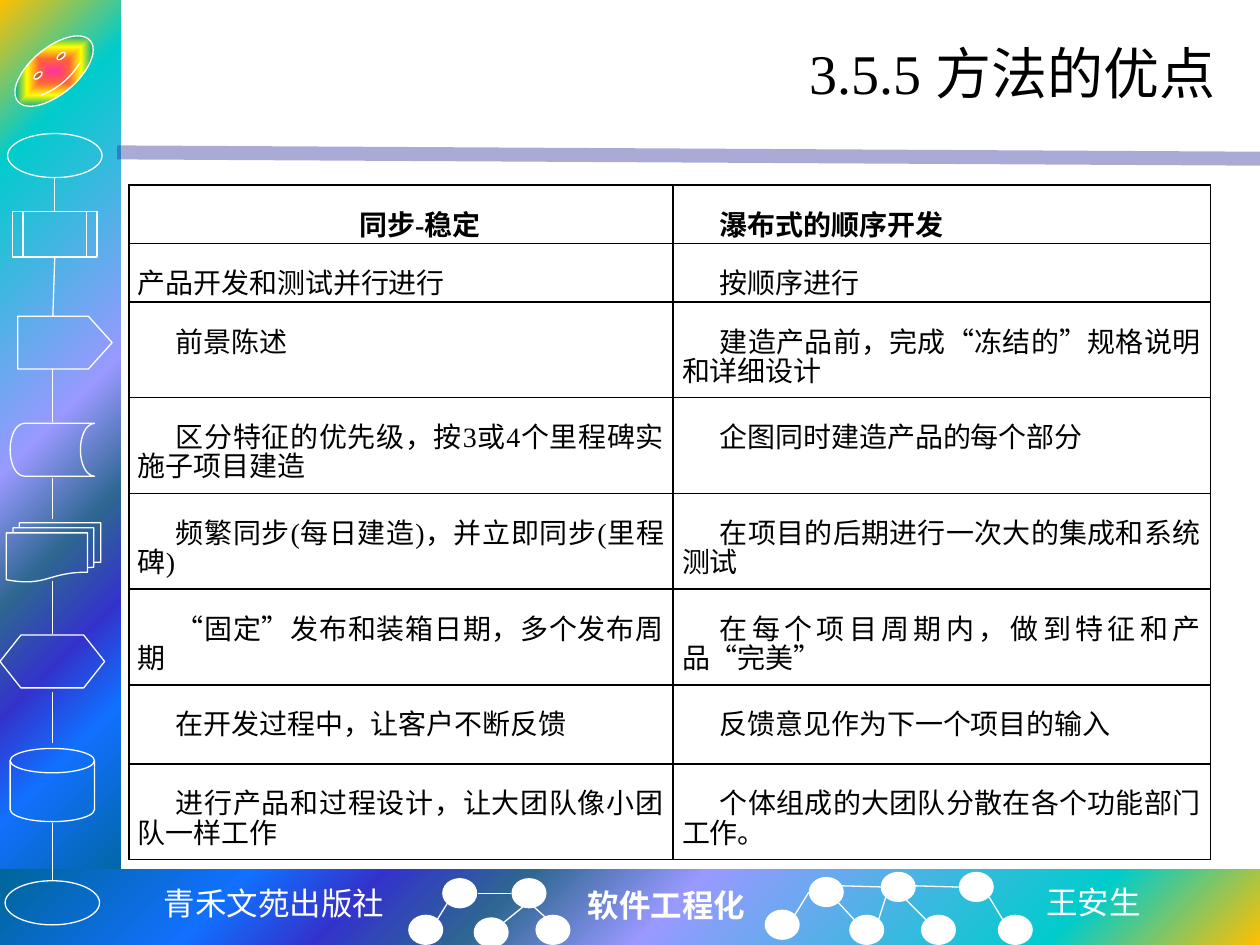
from pptx import Presentation
from pptx.dml.color import RGBColor
from pptx.enum.shapes import MSO_CONNECTOR, MSO_SHAPE
from pptx.enum.text import MSO_ANCHOR, PP_ALIGN
from pptx.oxml import parse_xml
from pptx.oxml.ns import nsdecls, qn
from pptx.util import Pt
from lxml import etree

LINE = MSO_CONNECTOR.STRAIGHT
RECT, OVAL, FACE = MSO_SHAPE.RECTANGLE, MSO_SHAPE.OVAL, MSO_SHAPE.SMILEY_FACE
PROC = MSO_SHAPE.FLOWCHART_PREDEFINED_PROCESS
LEFT, MID, RIGHT, FULL = PP_ALIGN.LEFT, PP_ALIGN.CENTER, PP_ALIGN.RIGHT, PP_ALIGN.JUSTIFY
SERIF, MONO, SANS = "Times New Roman", "Courier New", "Noto Sans CJK SC"

HEX = {"white": "FFFFFF", "black": "000000", "rule": "262699"}
WAVE = [(0, "FFC000"), (16, "00CCCC"), (47, "9999FF"), (60, "2E6792"),
        (71, "3333CC"), (81, "1170FF"), (100, "006699")]
GLOW = [(0, "FF3399"), (25, "FF6633"), (50, "FFFF00"), (75, "01A78F"),
        (100, "3366FF")]

# Flowchart symbols down the side: kind, left, top, width, height
SIGNS = [
    (OVAL, 4.3, 76.3, 54, 25.2),
    (PROC, 7.2, 121, 48.2, 25.9),
    (MSO_SHAPE.PENTAGON, 10.1, 180.7, 54, 30.2),
    (MSO_SHAPE.FLOWCHART_STORED_DATA, 5.8, 241.9, 48.2, 30.2),
    (MSO_SHAPE.FLOWCHART_MULTIDOCUMENT, 3.6, 298.8, 54, 33.8),
    (MSO_SHAPE.FLOWCHART_PREPARATION, 0, 362.9, 59.8, 30.2),
    (MSO_SHAPE.FLOWCHART_MAGNETIC_DISK, 5.8, 427.7, 48.2, 41.8),
    (OVAL, 2.9, 503.3, 54, 25.2),
]
GAPS = [(211, 241.2), (272.9, 296.6), (331.9, 362.2), (395.3, 424.8),
        (470.2, 503.3)]
NODES = [(252.7, 501.8), (292.3, 501.8), (233.3, 522.7), (270.7, 524.2),
         (306, 522.7), (437, 519.8), (462.2, 501.1), (485.3, 522.7),
         (503.3, 498.2), (526.3, 522.7), (547.9, 498.2), (570.2, 522.7)]
LINKS = [(249.8, 525.6, 255.6, 516.2), (288, 527, 299.5, 517.7),
         (292.3, 510.5, 272.9, 510.5), (312.5, 524.9, 305.3, 518.4),
         (454.3, 522.7, 462.2, 509.8), (481, 506.2, 506.2, 506.9),
         (488.2, 525.6, 478.8, 515.5), (501.8, 526.3, 506.2, 512.6),
         (529.2, 525.6, 514.8, 511.2), (522.7, 506.2, 547.9, 506.9),
         (573.1, 525.6, 565.2, 512.6)]
# Footer: text, left, top, width, font, bold
NOTES = [("青禾文苑出版社", 85.7, 501.8, 141.8, MONO, False),
         ("软件工程化", 328.3, 502.6, 105.1, SERIF, True),
         ("王安生", 590.4, 501.1, 69.1, SANS, False)]

ROWS = [
    ("同步-稳定", "瀑布式的顺序开发"),
    ("产品开发和测试并行进行", "按顺序进行"),
    ("前景陈述", "建造产品前，完成“冻结的”规格说明和详细设计"),
    ("区分特征的优先级，按3或4个里程碑实施子项目建造", "企图同时建造产品的每个部分"),
    ("频繁同步(每日建造)，并立即同步(里程碑)", "在项目的后期进行一次大的集成和系统测试"),
    ("“固定”发布和装箱日期，多个发布周期", "在每个项目周期内，做到特征和产品“完美”"),
    ("在开发过程中，让客户不断反馈", "反馈意见作为下一个项目的输入"),
    ("进行产品和过程设计，让大团队像小团队一样工作", "个体组成的大团队分散在各个功能部门工作。"),
]
HIGH = [33.4, 33.4, 54.7, 54.7, 54.7, 54.7, 45.2, 54.7]
WIDE = [311, 307]
STEP = 16.6


def rgb(name):
    return RGBColor.from_string(HEX[name])


def style(para, size, font, color, bold=False, align=LEFT):
    para.alignment = align
    for run in para.runs:
        run.font.size, run.font.name, run.font.bold = Pt(size), font, bold
        run.font.color.rgb = rgb(color)


def shape(slide, kind, x, y, w, h, fill=None, line=None):
    item = slide.shapes.add_shape(kind, Pt(x), Pt(y), Pt(w), Pt(h))
    item.shadow.inherit = False
    if fill:
        item.fill.solid()
        item.fill.fore_color.rgb = rgb(fill)
    else:
        item.fill.background()
    if line:
        item.line.color.rgb, item.line.width = rgb(line), Pt(0.75)
    else:
        item.line.fill.background()
    return item


def blend(item, stops, kind, focus):
    """Fill with a gradient spreading from focus (left, top, right, bottom in %)."""
    marks = "".join(f'<a:gs pos="{pos * 1000}"><a:srgbClr val="{color}"/></a:gs>'
                    for pos, color in stops)
    sides = " ".join(f'{side}="{part * 1000}"' for side, part in zip("ltrb", focus))
    grad = parse_xml(f'<a:gradFill {nsdecls("a")} rotWithShape="1"><a:gsLst>{marks}</a:gsLst>'
                     f'<a:path path="{kind}"><a:fillToRect {sides}/></a:path></a:gradFill>')
    props = item.element.spPr
    props.replace(props.find(qn("a:noFill")), grad)


def link(slide, x1, y1, x2, y2, color="white", width=0.75):
    item = slide.shapes.add_connector(LINE, Pt(x1), Pt(y1), Pt(x2), Pt(y2))
    item.line.color.rgb, item.line.width = rgb(color), Pt(width)
    etree.SubElement(item.element.spPr, qn("a:effectLst"))
    return item


def label(slide, text, x, y, w, h, size, font, color, bold=False, align=LEFT, wrap=False):
    frame = slide.shapes.add_textbox(Pt(x), Pt(y), Pt(w), Pt(h)).text_frame
    frame.word_wrap = wrap
    frame.vertical_anchor = MSO_ANCHOR.MIDDLE
    frame.text = text
    style(frame.paragraphs[0], size, font, color, bold, align)


def border(cell):
    props = cell._tc.get_or_add_tcPr()
    for at, side in enumerate(("lnL", "lnR", "lnT", "lnB")):
        props.insert(at, parse_xml(
            f'<a:{side} {nsdecls("a")} w="{Pt(1)}"><a:solidFill>'
            f'<a:srgbClr val="{HEX["black"]}"/></a:solidFill></a:{side}>'))


def write(cell, text, bold, align, indent):
    cell.margin_left = cell.margin_right = Pt(5.2)
    cell.margin_top, cell.margin_bottom = Pt(STEP), 0
    cell.fill.background()
    border(cell)
    cell.text = text
    para = cell.text_frame.paragraphs[0]
    para.line_spacing = Pt(STEP)
    para._p.get_or_add_pPr().set("indent", str(Pt(indent)))
    style(para, 16, SERIF, "black", bold, align)


def grid(slide):
    table = slide.shapes.add_table(len(ROWS), len(WIDE), Pt(73.6), Pt(105.8),
                                   Pt(sum(WIDE)), Pt(sum(HIGH))).table
    table.first_row = table.horz_banding = False
    for col, width in zip(table.columns, WIDE):
        col.width = Pt(width)
    for row, height in zip(table.rows, HIGH):
        row.height = Pt(height)
    aligns = {(0, 0): MID, (2, 0): LEFT}
    for r, texts in enumerate(ROWS):
        for c, text in enumerate(texts):
            indent = 0 if (r, c) == (1, 0) else 21.6
            write(table.cell(r, c), text, r == 0, aligns.get((r, c), FULL), indent)


def side(slide):
    """Flowchart symbols joined from top to bottom."""
    signs = [shape(slide, *sign, line="white") for sign in SIGNS]
    signs[2].adjustments[0] = 0.45
    link(slide, 31.3, 101.5, 31.3, 121).end_connect(signs[1], 0)
    link(slide, 31.3, 146.9, 30.2, 180.7).begin_connect(signs[1], 2)
    for top, end in GAPS:
        link(slide, 30.2, top, 30.2, end)
    face = shape(slide, FACE, 3.9, 27.4, 54, 26.5, line="white")
    face.rotation = -40
    blend(face, GLOW, "shape", (50, 50, 50, 50))


def foot(slide):
    for text, x, y, w, font, bold in NOTES:
        label(slide, text, x, y, w, 28.8, 18, font, "white", bold, MID)
    for x, y in NODES:
        shape(slide, OVAL, x, y, 20, 17.3, fill="white")
    for ends in LINKS:
        link(slide, *ends)


def main():
    deck = Presentation()
    deck.slide_width, deck.slide_height = Pt(720), Pt(540)
    slide = deck.slides.add_slide(deck.slide_layouts[6])
    blend(shape(slide, RECT, 0, 0, 69.1, 510.5), WAVE, "circle", (0, 0, 100, 100))
    blend(shape(slide, RECT, 0, 496.8, 720, 43.2), WAVE, "circle", (100, 100, 0, 0))
    rule = link(slide, 67, 87.1, 720, 90.7, "rule", 8)
    tint = rule.element.spPr.find(".//" + qn("a:srgbClr"))
    etree.SubElement(tint, qn("a:alpha"), val="39000")
    side(slide)
    foot(slide)
    label(slide, "3.5.5 方法的优点", 90, 12.2, 612, 58.3, 32, SERIF, "black",
          align=RIGHT, wrap=True)
    grid(slide)
    deck.save("out.pptx")


if __name__ == "__main__":
    main()
